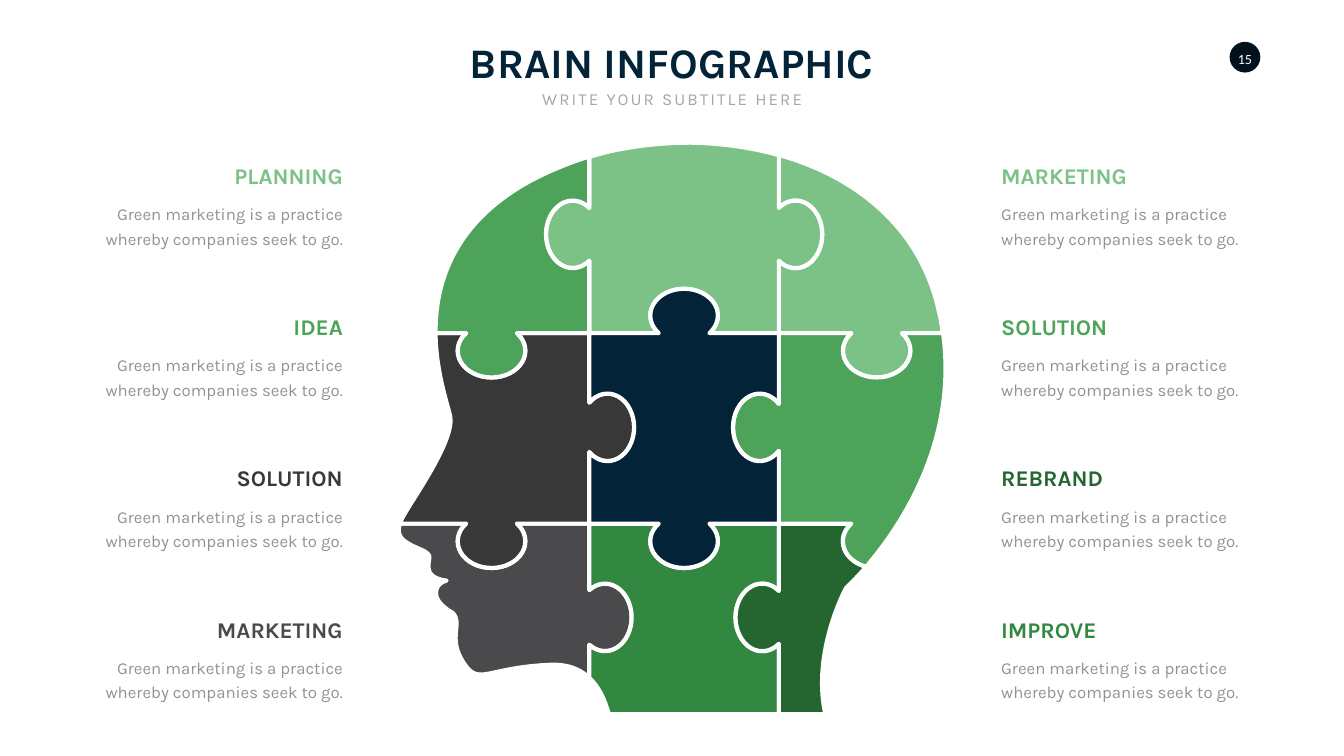
"""Build a slide with a head made of nine puzzle pieces and eight captions."""
from math import asin, ceil, cos, dist, pi, sin, tan

from lxml.etree import SubElement
from pptx import Presentation
from pptx.dml.color import RGBColor
from pptx.enum.shapes import MSO_SHAPE
from pptx.enum.text import MSO_ANCHOR, MSO_AUTO_SIZE, PP_ALIGN
from pptx.oxml.ns import qn
from pptx.util import Inches, Pt

COLORS = {
    "paper": "FEFFFE", "white": "FFFFFF", "badge": "01111C", "navy": "022338",
    "subtitle": "A6A6A6", "body": "929294", "light": "7CC287", "green": "4CA359",
    "forest": "328840", "dark": "256630", "charcoal": "383839", "gray": "4A4A4C",
}
TITLE = "BRAIN INFOGRAPHIC"
SUBTITLE = "WRITE YOUR SUBTITLE HERE"
PAGE = "15"
BODY = "Green marketing is a practice whereby companies seek to go."
LEFT_CAPTIONS = [("PLANNING", "light", 2.52), ("IDEA", "green", 1.23),
                 ("SOLUTION", "charcoal", 2.45), ("MARKETING", "gray", 2.87)]
RIGHT_CAPTIONS = [("MARKETING", "light", 2.87), ("SOLUTION", "green", 2.45),
                  ("REBRAND", "dark", 2.32), ("IMPROVE", "forest", 2.24)]
LEFT_EDGE, RIGHT_EDGE, BODY_WIDTH = 6.9, 19.76, 4.99
CAPTION_TOP, CAPTION_PITCH, BODY_DROP = 3.16, 3.0, 0.75

X1, X2 = 11.69, 15.45
Y1, Y2, BASE = 6.61, 10.39, 14.17
KNOB_HALF, KNOB_RADIUS = 0.67, 0.53

KNOBS = {
    "brow": (9.75, Y1, 0, 1, 0.88, 1),
    "crown": (13.57, Y1, 0, -1, 0.88, 1),
    "rear": (17.39, Y1, 0, 1, 0.88, 1),
    "cheek": (9.75, Y2, 0, 1, 0.88, 1),
    "throat": (13.57, Y2, 0, 1, 0.88, 1),
    "nape": (17.39, Y2, 0, 1, 0.88, 0.43),
    "top left": (X1, 4.65, -1, 0, 0.86, 1),
    "top right": (X2, 4.65, 1, 0, 0.86, 1),
    "middle left": (X1, 8.48, 1, 0, 0.89, 1),
    "middle right": (X2, 8.48, -1, 0, 0.91, 1),
    "bottom left": (X1, 12.25, 1, 0, 0.84, 1),
    "bottom right": (X2, 12.25, -1, 0, 0.86, 1),
}

PIECES = [
    ("gray", [(7.94, Y2), "cheek", (X1, Y2), "bottom left", (X1, 13.45),
              (11.51, 13.28, 11.27, 13.18, 10.94, 13.19),
              (9.63, 13.24, 9.5, 13.63, 9.19, 13.14),
              (8.87, 12.65, 9.19, 12.37, 8.98, 12.16),
              (8.98, 12.16, 8.65, 11.99, 8.65, 11.78),
              (8.64, 11.56, 8.86, 11.52, 8.86, 11.52),
              (8.86, 11.52, 8.51, 11.5, 8.5, 11.27),
              (8.48, 11.04, 8.64, 11.02, 8.27, 10.87),
              (8, 10.75, 7.87, 10.65, 7.92, 10.44)]),
    ("forest", [(X1, Y2), "throat", (X2, Y2), "bottom right", (X2, BASE), (12.08, BASE),
                (12.05, 14.08), (11.98, 13.85, 11.87, 13.62, X1, 13.45), "bottom left"]),
    ("charcoal", [(8.64, Y1), "brow", (X1, Y1), "middle left", (X1, Y2), "cheek",
                  (7.93, Y2), (7.96, 10.32), (7.98, 10.28, 8, 10.24, 8.03, 10.19),
                  (8.25, 9.81, 9.02, 8.72, 8.93, 8.26),
                  (8.89, 8.06, 8.66, 7.43, 8.64, 6.67)]),
    ("light", [(X2, 3.07), (15.7, 3.15), (17.08, 3.6, 18.21, 4.55, 18.59, 6.03),
               (18.61, 6.13, 18.64, 6.23, 18.66, 6.33), (18.7, Y1), "rear",
               (X2, Y1), "top right"]),
    ("dark", [(X2, Y2), "nape", (17.18, 11.25), (16.94, 11.52, 16.78, 11.67, 16.78, 11.67),
              (16.78, 11.67, 16.1, 12.93, 16.37, 14.16), (16.37, BASE), (X2, BASE),
              "bottom right"]),
    ("green", [(X2, Y1), "rear", (18.7, Y1), (18.71, 6.63),
               (18.99, 8.7, 17.93, 10.34, 17.27, 11.14), (17.19, 11.24), "nape",
               (X2, Y2), "middle right"]),
    ("light", [(13.71, 2.83), (14.26, 2.84, 14.8, 2.91, 15.31, 3.04), (X2, 3.08),
               "top right", (X2, Y1), "crown", (X1, Y1), "top left", (X1, 3.11),
               (12.02, 3.02), (12.57, 2.89, 13.14, 2.83, 13.71, 2.83)]),
    ("green", [(X1, 3.11), "top left", (X1, Y1), "brow", (8.64, Y1), (8.64, 6.5),
               (8.66, 5.55, 9.03, 4.42, 10.48, 3.61),
               (10.83, 3.42, 11.21, 3.26, 11.61, 3.13)]),
    ("navy", [(X1, Y1), "crown", (X2, Y1), "middle right", (X2, Y2), "throat",
              (X1, Y2), "middle left"]),
]


def color(key):
    return RGBColor.from_string(COLORS[key])


def knob_steps(name, start):
    x, y, dx, dy, depth, share = KNOBS[name]
    center = depth - KNOB_RADIUS
    tilt = asin(center / KNOB_RADIUS)
    arcs = ceil(4 * share)
    sweep = (pi + 2 * tilt) * share / arcs
    pull = 4 / 3 * tan(sweep / 4)

    def place(angle, reach):
        along = KNOB_HALF * (reach * sin(angle) - cos(angle))
        out = center + KNOB_RADIUS * (sin(angle) + reach * cos(angle))
        return x + along * abs(dy) + out * dx, y + along * abs(dx) + out * dy

    points = [place(-tilt, 0)]
    for arc in range(arcs):
        angle = arc * sweep - tilt
        points += [place(angle, pull), place(angle + sweep, -pull), place(angle + sweep, 0)]
    if dist(start, points[-1]) < dist(start, points[0]):
        points.reverse()
    return [points[:1]] + [points[i:i + 3] for i in range(1, len(points), 3)]


def outline_steps(outline):
    steps = [[outline[0]]]
    for part in outline[1:]:
        if isinstance(part, str):
            steps += knob_steps(part, steps[-1][-1])
        else:
            steps.append(list(zip(part[::2], part[1::2])))
    return steps


def bend_lines(piece, steps):
    lines = iter(list(piece.element.iter(qn("a:lnTo"))))
    for step in steps:
        first, *others = [next(lines) for _ in step]
        if others:
            first.tag = qn("a:cubicBezTo")
            for line in others:
                first.append(line[0])
                line.getparent().remove(line)


def add_piece(slide, fill, outline):
    steps = outline_steps(outline)
    corners = [(Inches(x), Inches(y)) for step in steps for x, y in step]
    builder = slide.shapes.build_freeform(*corners[0], scale=1.0)
    builder.add_line_segments(corners[1:], close=True)
    piece = builder.convert_to_shape()
    bend_lines(piece, steps[1:])
    piece.shadow.inherit = False
    piece.fill.solid()
    piece.fill.fore_color.rgb = color(fill)
    piece.line.color.rgb = color("paper")
    piece.line.width = Pt(6)
    SubElement(piece.element.spPr.find(qn("a:ln")), qn("a:round"))


def add_text(slide, text, box, size, ink, align, font="Karla", bold=False, wrap=False,
             anchor=MSO_ANCHOR.TOP, margin=None, leading=None, tracking=None):
    frame = slide.shapes.add_textbox(*map(Inches, box)).text_frame
    frame.word_wrap = wrap
    frame.auto_size = MSO_AUTO_SIZE.SHAPE_TO_FIT_TEXT
    frame.vertical_anchor = anchor
    if margin is not None:
        frame.margin_left = frame.margin_right = Inches(margin)
        frame.margin_top = frame.margin_bottom = Inches(margin)
    paragraph = frame.paragraphs[0]
    paragraph.alignment = align
    if leading:
        paragraph.line_spacing = Pt(leading)
    run = paragraph.add_run()
    run.text = text
    run.font.name, run.font.size, run.font.bold = font, Pt(size), bold
    run.font.color.rgb = color(ink)
    if tracking:
        run.font._element.set("spc", str(tracking * 100))


def add_captions(slide, captions, edge, align):
    share = 1 if align == PP_ALIGN.RIGHT else 0
    for row, (heading, ink, width) in enumerate(captions):
        top = CAPTION_TOP + row * CAPTION_PITCH
        add_text(slide, heading, (edge - share * width, top, width, 0.64), 32, ink, align,
                 bold=True, anchor=MSO_ANCHOR.BOTTOM)
        add_text(slide, BODY, (edge - share * BODY_WIDTH, top + BODY_DROP, BODY_WIDTH, 1.03),
                 24, "body", align, wrap=True, leading=35)


def main():
    deck = Presentation()
    deck.slide_width, deck.slide_height = Inches(26.66), Inches(15)
    slide = deck.slides.add_slide(deck.slide_layouts[6])
    slide.background.fill.solid()
    slide.background.fill.fore_color.rgb = color("paper")

    badge = slide.shapes.add_shape(MSO_SHAPE.OVAL, *map(Inches, (24.39, 0.83, 0.61, 0.61)))
    badge.shadow.inherit = False
    badge.fill.solid()
    badge.fill.fore_color.rgb = color("badge")
    badge.line.fill.background()
    add_text(slide, PAGE, (24.49, 0.99, 0.41, 0.34), 20, "white", PP_ALIGN.CENTER,
             font="Calibri", anchor=MSO_ANCHOR.MIDDLE, margin=0)

    for fill, outline in PIECES:
        add_piece(slide, fill, outline)
    add_text(slide, TITLE, (8.91, 0.67, 8.83, 1.11), 60, "navy", PP_ALIGN.CENTER, bold=True)
    add_text(slide, SUBTITLE, (10.62, 1.72, 5.43, 0.5), 24, "subtitle", PP_ALIGN.CENTER,
             tracking=3)
    add_captions(slide, RIGHT_CAPTIONS, RIGHT_EDGE, PP_ALIGN.LEFT)
    add_captions(slide, LEFT_CAPTIONS, LEFT_EDGE, PP_ALIGN.RIGHT)
    deck.save("out.pptx")


if __name__ == "__main__":
    main()
